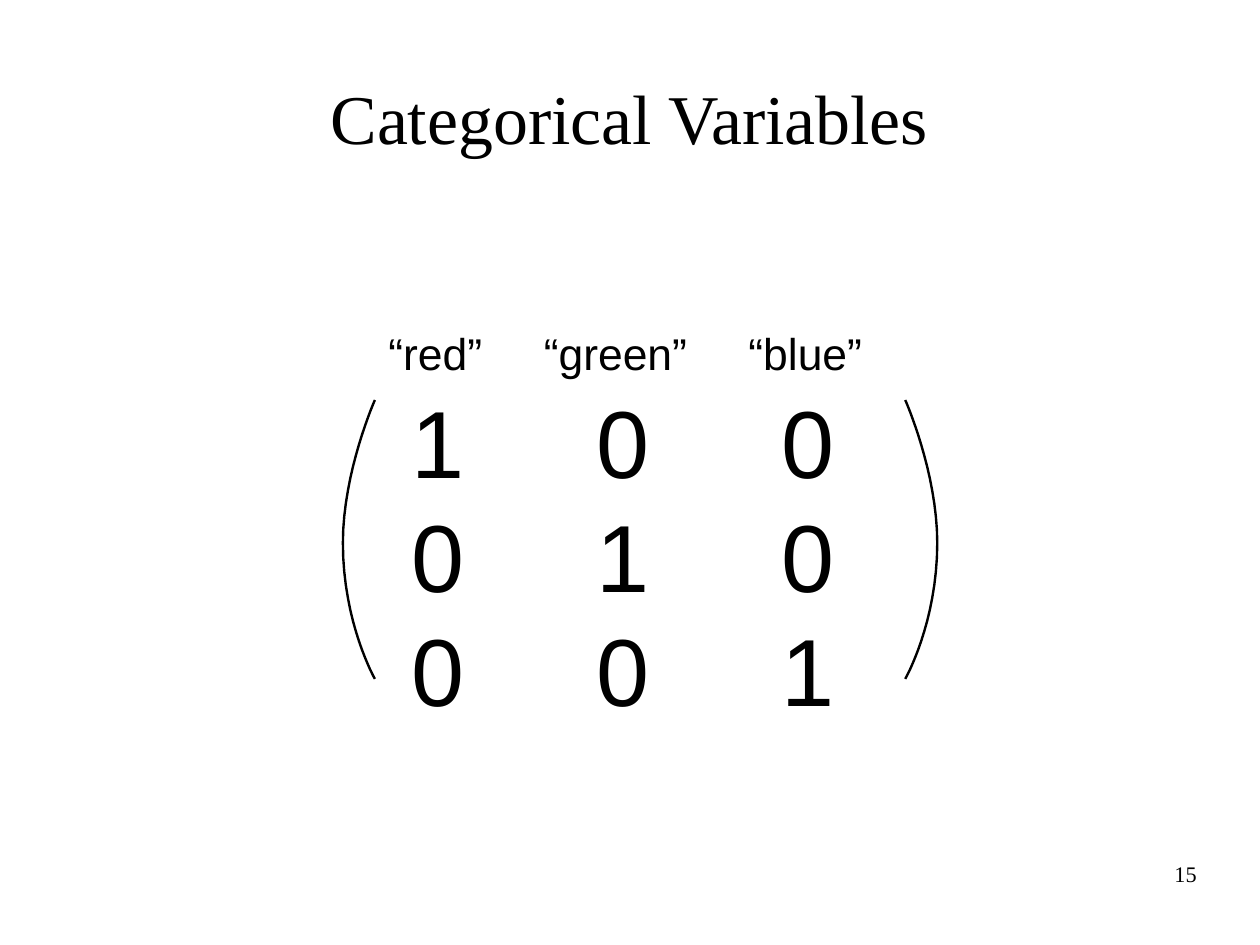
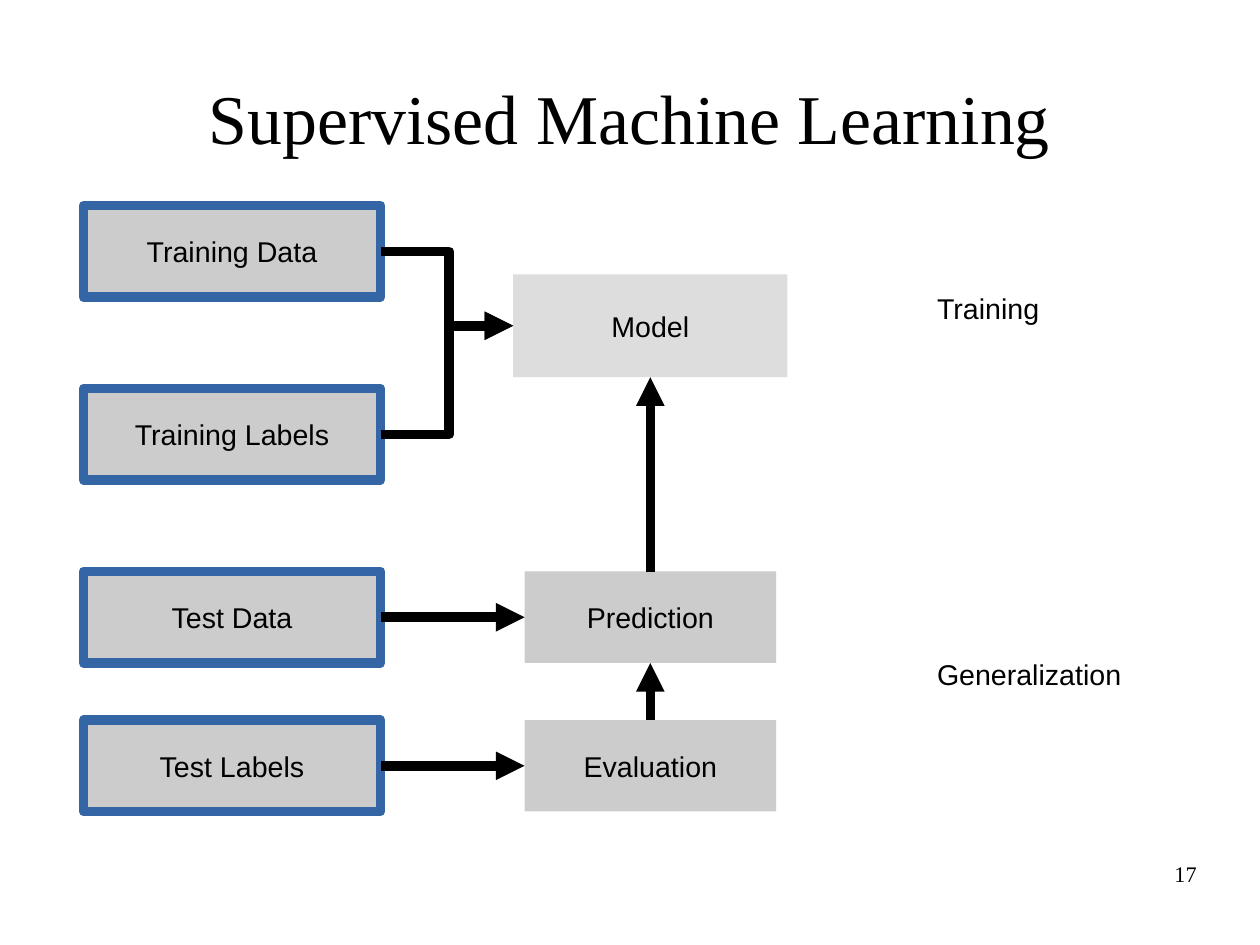
"""Build two slides: a one-hot matrix and a supervised learning diagram."""
from dataclasses import dataclass

from lxml import etree
from pptx import Presentation
from pptx.dml.color import RGBColor
from pptx.enum.shapes import MSO_CONNECTOR, MSO_SHAPE
from pptx.enum.text import MSO_ANCHOR, PP_ALIGN
from pptx.oxml.ns import qn
from pptx.util import Cm, Inches, Pt

LEFT, CENTER, RIGHT = PP_ALIGN.LEFT, PP_ALIGN.CENTER, PP_ALIGN.RIGHT
TOP, MIDDLE = MSO_ANCHOR.TOP, MSO_ANCHOR.MIDDLE
RECTANGLE = MSO_SHAPE.RECTANGLE
STRAIGHT, ELBOW = MSO_CONNECTOR.STRAIGHT, MSO_CONNECTOR.ELBOW
TOP_SIDE, LEFT_SIDE, BOTTOM_SIDE, RIGHT_SIDE = range(4)


@dataclass(frozen=True)
class Theme:
    """Colours, fonts, sizes and the grid module shared by the slides."""
    ink: RGBColor = RGBColor.from_string("000000")
    box: RGBColor = RGBColor.from_string("CCCCCC")
    model: RGBColor = RGBColor.from_string("DDDDDD")
    border: RGBColor = RGBColor.from_string("3465A4")
    serif: str = "Times New Roman"
    sans: str = "Arial"
    title: int = 44
    matrix: int = 60
    heading: int = 28
    body: int = 18
    page: int = 14
    thin: float = 1.5
    thick: float = 6
    module: float = 0.1
    width: int = Cm(28)
    height: int = Cm(21)


THEME = Theme()


def grid(*modules):
    """Turn counts of grid modules into lengths."""
    return [Inches(count * THEME.module) for count in modules]


def write_text(shape, text, *, size=THEME.body, font=THEME.sans, align=LEFT, anchor=TOP,
               wrap=True, margins=(1, 0.5), tabs=(), leading=None):
    """Fill a shape with paragraphs, one for each line of text."""
    frame = shape.text_frame
    frame.word_wrap = wrap
    frame.vertical_anchor = anchor
    frame.margin_left, frame.margin_top = grid(*margins)
    frame.margin_right, frame.margin_bottom = grid(*margins)
    for index, line in enumerate(text.split("\n")):
        paragraph = frame.add_paragraph() if index else frame.paragraphs[0]
        paragraph.alignment = align
        if leading:
            paragraph.line_spacing = Pt(leading)
        if tabs:
            properties = paragraph._p.get_or_add_pPr()
            stops = etree.SubElement(properties, qn("a:tabLst"))
            for position in grid(*tabs):
                etree.SubElement(stops, qn("a:tab"), pos=str(position), algn="l")
        run = paragraph.add_run()
        run.text = line
        run.font.size = Pt(size)
        run.font.name = font
        run.font.color.rgb = THEME.ink


def add_text(slide, text, left, top, width, height, **style):
    """Add a text box placed in grid modules."""
    box = slide.shapes.add_textbox(*grid(left, top, width, height))
    write_text(box, text, **style)


def draw_line(shape, color, width):
    """Give a shape a solid line with round joins and return its XML."""
    shape.line.color.rgb = color
    shape.line.width = Pt(width)
    line = shape.element.spPr.find(qn("a:ln"))
    etree.SubElement(line, qn("a:round"))
    return line


def add_box(slide, text, left, top, width, height, fill=THEME.box, border=None):
    """Add a labelled rectangle, with or without a border."""
    box = slide.shapes.add_shape(RECTANGLE, *grid(left, top, width, height))
    box.shadow.inherit = False
    box.fill.solid()
    box.fill.fore_color.rgb = fill
    if border:
        draw_line(box, border, THEME.thick)
    else:
        box.line.fill.background()
    write_text(box, text, align=CENTER, anchor=MIDDLE, wrap=False)
    return box


def add_arrow(slide, source, source_side, target, target_side, kind=STRAIGHT):
    """Join the sides of two boxes with an arrow."""
    arrow = slide.shapes.add_connector(kind, 0, 0, 0, 0)
    arrow.begin_connect(source, source_side)
    arrow.end_connect(target, target_side)
    properties = arrow.element.spPr
    if kind == ELBOW:
        bends = properties.find(qn("a:prstGeom")).get_or_add_avLst()
        etree.SubElement(bends, qn("a:gd"), name="adj1", fmla="val 51800")
    line = draw_line(arrow, THEME.ink, THEME.thick)
    etree.SubElement(line, qn("a:tailEnd"), type="triangle")
    etree.SubElement(properties, qn("a:effectLst"))


def bezier(start, first, second, end, steps=16):
    """List points along a cubic curve."""
    points = []
    for step in range(steps + 1):
        t = step / steps
        weights = ((1 - t) ** 3, 3 * t * (1 - t) ** 2, 3 * t * t * (1 - t), t ** 3)
        points.append(tuple(sum(weight * value for weight, value in zip(weights, values))
                            for values in zip(start, first, second, end)))
    return points


def add_parenthesis(slide, tip, bulge, top=35, middle=47.5, bottom=59.4):
    """Draw a tall parenthesis from its tips to its bulge."""
    upper = bezier((tip, top), (tip, top), (bulge, 41.3), (bulge, middle))
    lower = bezier((bulge, middle), (bulge, 54.5), (tip, bottom), (tip, bottom))
    points = [grid(*point) for point in upper + lower[1:]]
    builder = slide.shapes.build_freeform(*points[0])
    builder.add_line_segments(points[1:], close=False)
    curve = builder.convert_to_shape()
    curve.shadow.inherit = False
    curve.fill.background()
    draw_line(curve, THEME.ink, THEME.thin)


def add_slide(presentation, title, number):
    """Add a blank slide with its title and page number."""
    slide = presentation.slides.add_slide(presentation.slide_layouts[6])
    add_text(slide, title, 5.5, 3.3, 99.2, 13.8, size=THEME.title, font=THEME.serif,
             align=CENTER, anchor=MIDDLE, margins=(0, 0))
    add_text(slide, str(number), 79, 75.3, 25.7, 5.7, size=THEME.page, font=THEME.serif,
             align=RIGHT, margins=(0, 0))
    return slide


def add_matrix(slide, labels):
    """Show the identity matrix that encodes the labels."""
    for tip, bulge in ((32.8, 30), (79.2, 82)):
        add_parenthesis(slide, tip, bulge)
    size = len(labels)
    rows = ["\t".join(str(int(row == column)) for column in range(size))
            for row in range(size)]
    add_text(slide, "\n".join(rows), 35, 33, 41.8, 38, size=THEME.matrix,
             tabs=[16.2 * column for column in range(1, size)], leading=72)
    add_text(slide, "\t".join(labels), 33, 28, 48, 5.3, size=THEME.heading,
             tabs=(13.6, 31.5))


def add_diagram(slide):
    """Show the flow from data and labels to model and evaluation."""
    inputs = (("Training Data", 18), ("Training Labels", 34),
              ("Test Data", 50), ("Test Labels", 63))
    training_data, training_labels, test_data, test_labels = [
        add_box(slide, text, 7.3, top, 26, 8, border=THEME.border) for text, top in inputs]
    model = add_box(slide, "Model", 44.9, 24, 24, 9, fill=THEME.model)
    prediction, evaluation = [add_box(slide, text, 45.9, top, 22, 8)
                              for text, top in (("Prediction", 50), ("Evaluation", 63))]
    for source, target, kind in ((training_data, model, ELBOW),
                                 (training_labels, model, ELBOW),
                                 (test_data, prediction, STRAIGHT),
                                 (test_labels, evaluation, STRAIGHT)):
        add_arrow(slide, source, RIGHT_SIDE, target, LEFT_SIDE, kind)
    for source, target in ((prediction, model), (evaluation, prediction)):
        add_arrow(slide, source, TOP_SIDE, target, BOTTOM_SIDE)
    for text, top, width in (("Training", 25, 12), ("Generalization", 57, 21)):
        add_text(slide, text, 81, top, width, 3.8)


def main():
    """Build and save the presentation."""
    presentation = Presentation()
    presentation.slide_width, presentation.slide_height = THEME.width, THEME.height
    add_matrix(add_slide(presentation, "Categorical Variables", 15),
               ("“red”", "“green”", "“blue”"))
    add_diagram(add_slide(presentation, "Supervised Machine Learning", 17))
    presentation.save("out.pptx")


if __name__ == "__main__":
    main()
